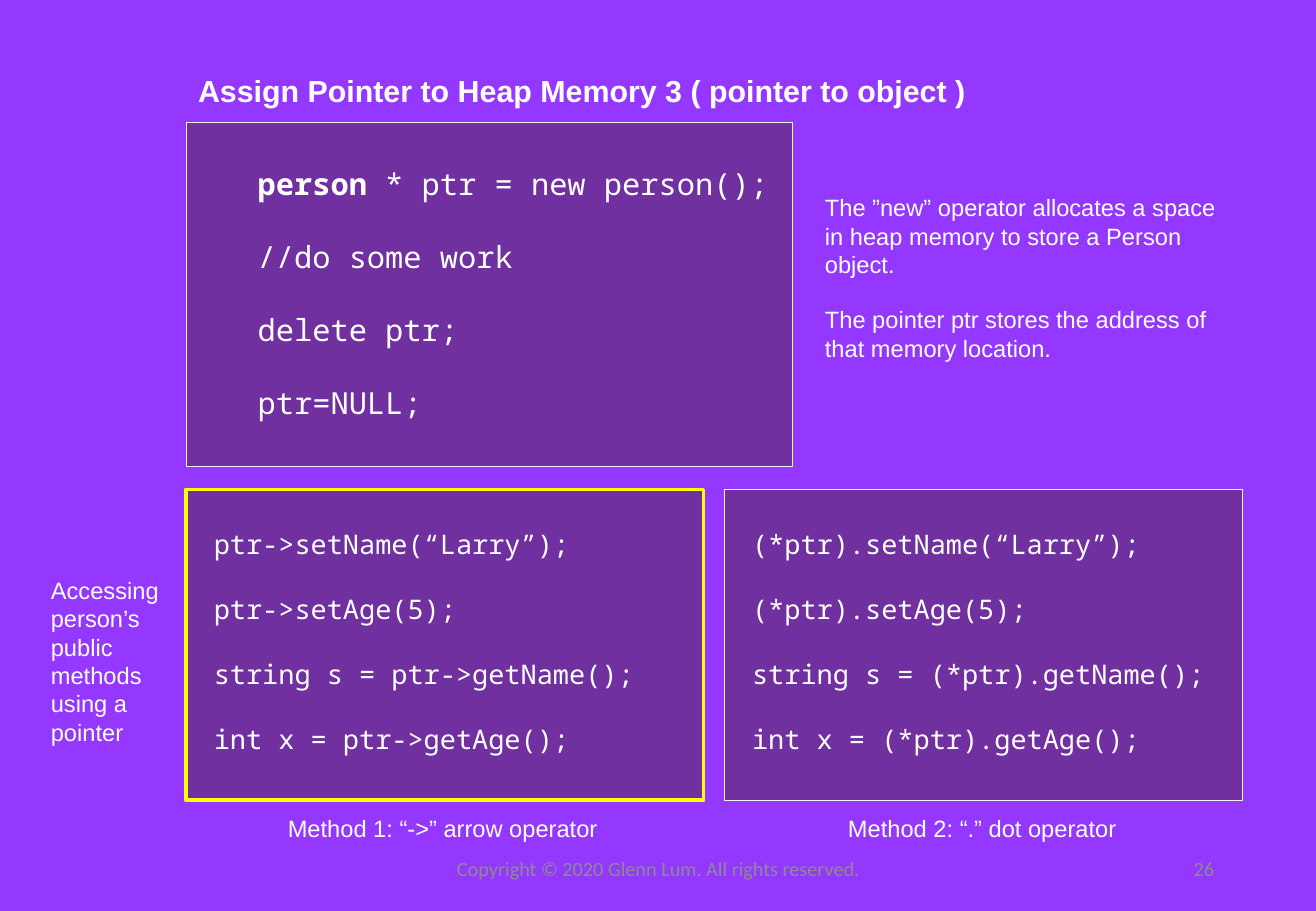
"""Build the slide on assigning a pointer to heap memory."""
from pptx import Presentation
from pptx.dml.color import RGBColor
from pptx.enum.shapes import MSO_SHAPE
from pptx.enum.text import MSO_ANCHOR as ANCHOR, PP_ALIGN as ALIGN
from pptx.util import Inches, Pt

COLORS = {
    "background": "9437FF", "panel": "7030A0", "text": "FFFFFF",
    "border": "F2F2F2", "highlight": "FFFF00", "footer": "8C8C8C",
}
FONTS = {"prose": "Arial", "code": "Noto Sans Mono", "footer": "Calibri"}
LINE_FACTOR = 1.2
MARGIN_X, MARGIN_Y = 0.1, 0.05
PANEL_LEFT, PANEL_TOP, PANEL_BOTTOM_ROW = 1.53, 1.01, 4.03
METHOD_WIDTH, METHOD_HEIGHT, METHOD_STEP = 4.26, 2.56, 4.43

TITLE = "Assign Pointer to Heap Memory 3 ( pointer to object )"
TITLE_BOX = (1.53, 0.54, 6.65, 0.4)
ALLOCATION_BOX = (PANEL_LEFT, PANEL_TOP, 4.99, 2.83)
ALLOCATION_CODE = [
    [("person", True), (" * ptr = new person();", False)],
    "//do some work",
    "delete ptr;",
    "ptr=NULL;",
]
METHODS = [
    ("ptr->", "highlight", 2.25, "Method 1: “->” arrow operator", (2.27, 6.65, 2.76, 0.34)),
    ("(*ptr).", "border", 0.25, "Method 2: “.” dot operator", (6.88, 6.65, 2.42, 0.34)),
]
METHOD_CALLS = [
    "{}setName(“Larry”);",
    "{}setAge(5);",
    "string s = {}getName();",
    "int x = {}getAge();",
]
NOTES = [
    ([
        "The ”new” operator allocates a space in heap memory to store a Person object.",
        "The pointer ptr stores the address of that memory location.",
    ], (6.69, 1.54, 3.52, 1.51)),
    (["Accessing person’s public methods using a pointer"], (0.32, 4.69, 1.18, 1.51)),
]
FOOTERS = [
    ("Copyright © 2020 Glenn Lum. All rights reserved.", (3.59, 6.95, 3.66, 0.4), ALIGN.CENTER),
    ("26", (7.65, 6.95, 2.44, 0.4), ALIGN.RIGHT),
]


def write_text(shape, lines, size, font="prose", color="text", bold=False,
               paragraph_format=None, gap=0, **frame_format):
    """Fill a shape with paragraphs; a line is a string or (text, bold) runs."""
    frame = shape.text_frame
    frame_values = {
        "word_wrap": True, "vertical_anchor": ANCHOR.TOP,
        "margin_left": Inches(MARGIN_X), "margin_right": Inches(MARGIN_X),
        "margin_top": Inches(MARGIN_Y), "margin_bottom": Inches(MARGIN_Y),
    }
    for name, value in (frame_values | frame_format).items():
        setattr(frame, name, value)
    for index, line in enumerate(lines):
        paragraph = frame.add_paragraph() if index else frame.paragraphs[0]
        paragraph_values = {"alignment": ALIGN.LEFT, "space_before": Pt(gap if index else 0)}
        for name, value in (paragraph_values | (paragraph_format or {})).items():
            setattr(paragraph, name, value)
        runs = [(line, bold)] if isinstance(line, str) else line
        for text, run_bold in runs:
            run = paragraph.add_run()
            run.text = text
            font_values = {"size": Pt(size), "name": FONTS[font], "bold": run_bold}
            for name, value in font_values.items():
                setattr(run.font, name, value)
            run.font.color.rgb = RGBColor.from_string(COLORS[color])


def add_text(slide, box, lines, size, **text_format):
    """Add a text box."""
    shape = slide.shapes.add_textbox(*map(Inches, box))
    write_text(shape, lines, size, **text_format)


def add_code_panel(slide, box, lines, size, indent, border, weight):
    """Add a panel of code with one empty line's height above each line."""
    panel = slide.shapes.add_shape(MSO_SHAPE.RECTANGLE, *map(Inches, box))
    panel.shadow.inherit = False
    panel.fill.solid()
    panel.fill.fore_color.rgb = RGBColor.from_string(COLORS["panel"])
    panel.line.color.rgb = RGBColor.from_string(COLORS[border])
    panel.line.width = Pt(weight)
    line_height = size * LINE_FACTOR
    write_text(panel, lines, size, font="code", gap=line_height,
               paragraph_format={"line_spacing": Pt(line_height)},
               margin_left=Inches(indent), margin_right=0,
               margin_top=Inches(MARGIN_Y) + Pt(line_height))


def main():
    """Assemble and save the slide."""
    presentation = Presentation()
    presentation.slide_width, presentation.slide_height = Inches(10.83), Inches(7.5)
    slide = presentation.slides.add_slide(presentation.slide_layouts[5])
    slide.background.fill.solid()
    slide.background.fill.fore_color.rgb = RGBColor.from_string(COLORS["background"])

    title = slide.shapes.title
    for name, value in zip(("left", "top", "width", "height"), TITLE_BOX):
        setattr(title, name, Inches(value))
    write_text(title, [TITLE], 18, bold=True, word_wrap=False)

    add_code_panel(slide, ALLOCATION_BOX, ALLOCATION_CODE, 18, 0.59, "border", 0.25)
    for index, (access, border, weight, caption, caption_box) in enumerate(METHODS):
        box = (PANEL_LEFT + index * METHOD_STEP, PANEL_BOTTOM_ROW, METHOD_WIDTH, METHOD_HEIGHT)
        calls = [call.format(access) for call in METHOD_CALLS]
        add_code_panel(slide, box, calls, 16, 0.23, border, weight)
        add_text(slide, caption_box, [caption], 14, word_wrap=False)
    for lines, box in NOTES:
        add_text(slide, box, lines, 14, gap=16)
    for text, box, alignment in FOOTERS:
        add_text(slide, box, [text], 12, font="footer", color="footer",
                 paragraph_format={"alignment": alignment}, vertical_anchor=ANCHOR.MIDDLE)
    presentation.save("out.pptx")


if __name__ == "__main__":
    main()
